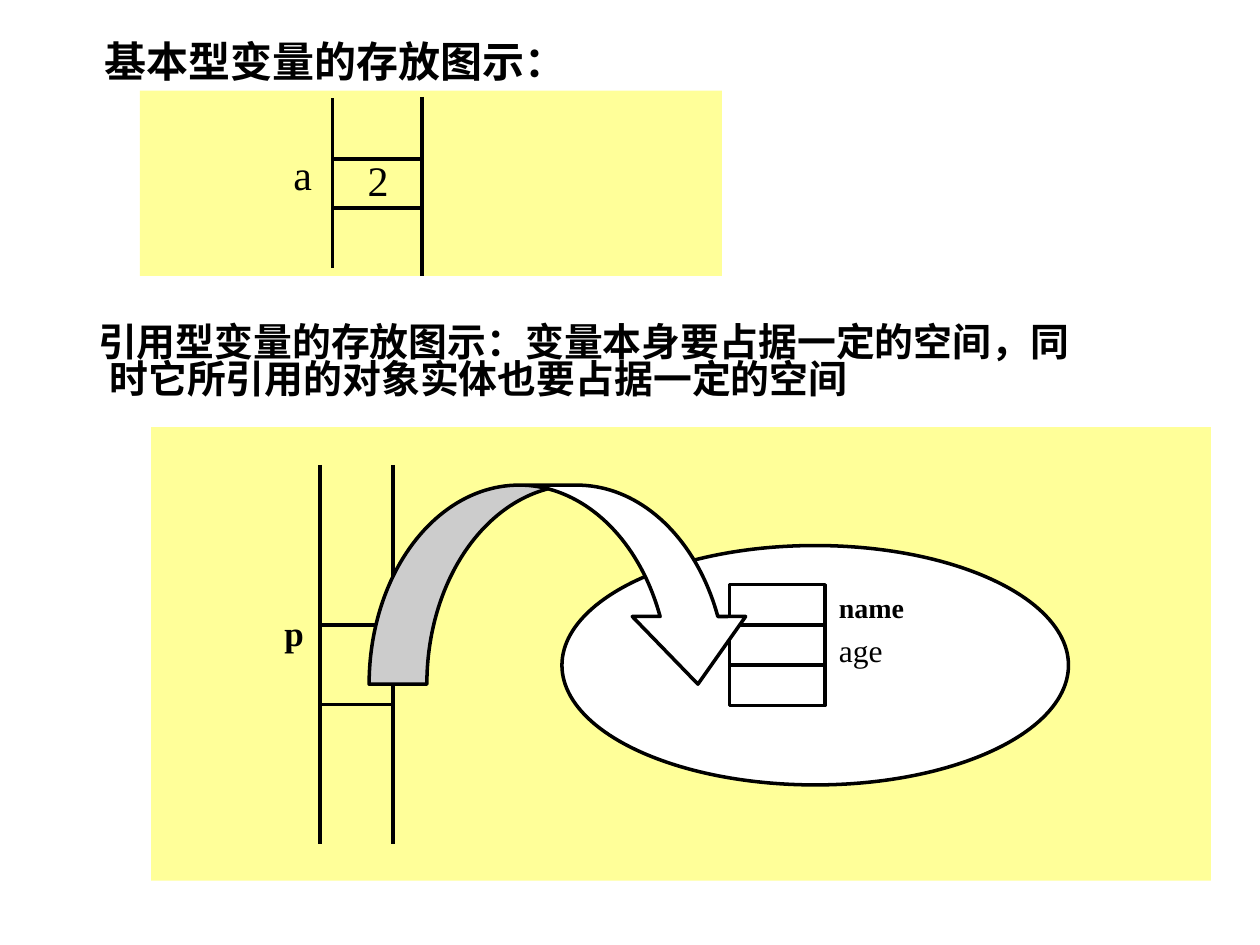
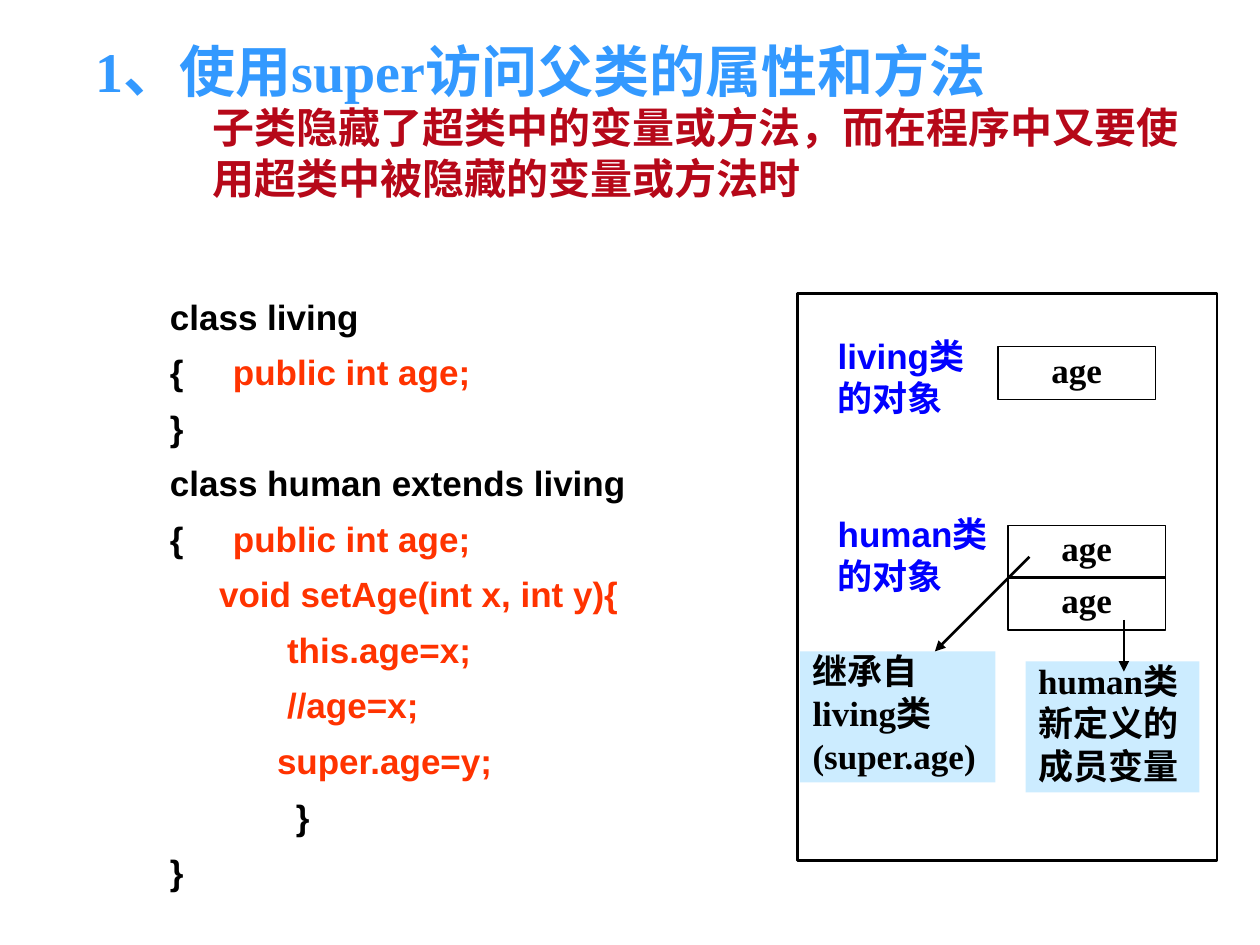
from pptx import Presentation
from pptx.dml.color import RGBColor
from pptx.enum.shapes import MSO_CONNECTOR as LINE, MSO_SHAPE as SHAPE
from pptx.enum.text import MSO_ANCHOR as ANCHOR, PP_ALIGN as ALIGN
from pptx.oxml.ns import qn
from pptx.util import Pt
from lxml.etree import SubElement

PX = 9144
BLACK, WHITE, YELLOW, PALE_BLUE = "000000", "FFFFFF", "FFFF99", "CCECFF"
SKY, CRIMSON, ORANGE, BLUE = "3399FF", "B60819", "FF3300", "0000FF"
SERIF, SANS = "Times New Roman", "Arial"


def px(*lengths):
    return [length * PX for length in lengths]


def color(value):
    return RGBColor.from_string(value)


class Painter:
    """Holds the shared style and draws elements on the current page."""

    def __init__(self):
        self.deck = Presentation()
        self.deck.slide_width, self.deck.slide_height = px(1000, 750)
        self.page = None

    def new_page(self):
        self.page = self.deck.slides.add_slide(self.deck.slide_layouts[6])

    def shape(self, kind, area, fill=None, line=None):
        shape = self.page.shapes.add_shape(kind, *px(*area))
        shape.shadow.inherit = False
        if fill:
            shape.fill.solid()
            shape.fill.fore_color.rgb = color(fill)
        else:
            shape.fill.background()
        if line:
            shape.line.color.rgb = color(BLACK)
            shape.line.width = Pt(line)
        else:
            shape.line.fill.background()
        return shape

    def line(self, x1, y1, x2, y2, width=2, arrow=False):
        line = self.page.shapes.add_connector(LINE.STRAIGHT, *px(x1, y1, x2, y2))
        line.line.color.rgb = color(BLACK)
        line.line.width = Pt(width)
        properties = line.element.spPr
        if arrow:
            SubElement(properties.find(qn("a:ln")), qn("a:tailEnd"), type="triangle")
        SubElement(properties, qn("a:effectLst"))

    def text(self, area, lines, size=20, ink=BLACK, font=SERIF, bold=True, wrap=True):
        box = self.page.shapes.add_textbox(*px(*area))
        self.fill_text(box, lines, size, ink, font, bold, wrap)
        return box

    def fill_text(self, box, lines, size=20, ink=BLACK, font=SERIF, bold=True, wrap=True,
                  spacing=None, before=None, align=ALIGN.LEFT, anchor=ANCHOR.TOP):
        frame = box.text_frame
        frame.word_wrap = wrap
        frame.vertical_anchor = anchor
        for number, content in enumerate(lines):
            para = frame.add_paragraph() if number else frame.paragraphs[0]
            para.alignment = align
            para.space_before = Pt(before or size / 4)
            if spacing:
                para.line_spacing = spacing
            para.font.size = Pt(size)
            para.font.bold = bold
            para.font.name = font
            para.font.color.rgb = color(ink)
            para.add_run().text = content

    def indent(self, para, margin, first=0):
        properties = para._p.get_or_add_pPr()
        properties.set("marL", str(margin * PX))
        properties.set("indent", str(first * PX))

    def label(self, area, lines):
        box = self.page.shapes.add_textbox(*px(*area))
        self.fill_text(box, lines, ink=BLUE, font=SANS, wrap=False, spacing=0.8)

    def note(self, area, lines, wrap):
        box = self.shape(SHAPE.RECTANGLE, area, PALE_BLUE)
        self.fill_text(box, lines, wrap=wrap, spacing=0.8)

    def field(self, left, top):
        box = self.shape(SHAPE.RECTANGLE, (left, top, 125, 42), line=0.75)
        self.fill_text(box, ["age"], wrap=False, spacing=0.8,
                       align=ALIGN.CENTER, anchor=ANCHOR.MIDDLE)

    def code(self, area, lines):
        box = self.shape(SHAPE.RECTANGLE, area, WHITE)
        self.fill_text(box, [""] * len(lines), font=SANS, spacing=0.8, before=12.5)
        for para, (margin, parts) in zip(box.text_frame.paragraphs, lines):
            self.indent(para, margin)
            properties = para._p.get_or_add_pPr()
            tabs = properties.makeelement(qn("a:tabLst"))
            SubElement(tabs, qn("a:tab"), pos=str(42 * PX), algn="l")
            properties.find(qn("a:defRPr")).addprevious(tabs)
            para.runs[0].text = parts[0][0]
            for content, _ in parts[1:]:
                para.add_run().text = content
            for span, (_, ink) in zip(para.runs, parts):
                span.font.color.rgb = color(ink)


def draw_variable_storage(painter):
    painter.new_page()
    reference = painter.text(
        (39, 254, 850, 73),
        ["引用型变量的存放图示：变量本身要占据一定的空间，同时它所引用的对象实体也要占据一定的空间"],
        22.2)
    sentence = reference.text_frame.paragraphs[0]
    sentence.line_spacing = 0.8
    sentence.space_before = Pt(6)
    painter.indent(sentence, 38, -9)

    painter.shape(SHAPE.RECTANGLE, (120, 339, 841, 360), YELLOW)
    for x in (254, 312):
        painter.line(x, 369, x, 670)
    for y in (496, 559):
        painter.line(254, y, 312, y)
    painter.shape(SHAPE.OVAL, (446, 433, 402, 190), WHITE, 2)
    painter.text((216, 480, 57, 79), ["p"])
    for row in range(3):
        painter.shape(SHAPE.RECTANGLE, (579, 464 + 32 * row, 76, 32), WHITE, 2)
    painter.text((656, 464, 115, 47), ["name"], 16)
    painter.text((656, 496, 115, 47), ["age"], 18, bold=False)
    pointer = painter.shape(SHAPE.CURVED_DOWN_ARROW, (293, 385, 306, 158), WHITE, 2)
    for index, ratio in enumerate((0.29, 0.57, 0.34)):
        pointer.adjustments[index] = ratio

    painter.text((73, 23, 482, 50), ["基本型变量的存放图示："], 24)
    painter.shape(SHAPE.RECTANGLE, (111, 72, 462, 147), YELLOW)
    painter.line(264, 78, 264, 213)
    painter.line(335, 77, 335, 219)
    for y in (126, 165):
        painter.line(264, y, 334, y)
    painter.text((282, 118, 36, 50), ["2"], 24, bold=False, wrap=False)
    painter.text((223, 113, 35, 50), ["a"], 24, bold=False, wrap=False)


def draw_super_access(painter):
    painter.new_page()
    age_member = (0, [("{\t", BLACK), ("public int age;", ORANGE)])
    painter.code((125, 236, 478, 478), [
        (0, [("class living", BLACK)]),
        age_member,
        (0, [("}", BLACK)]),
        (0, [("class human extends living", BLACK)]),
        age_member,
        (39, [("void setAge(int x, int y){", ORANGE)]),
        (93, [("this.age=x;", ORANGE)]),
        (93, [("//age=x;", ORANGE)]),
        (85, [("super.age=y;", ORANGE)]),
        (100, [("}", BLACK)]),
        (0, [("}", BLACK)]),
    ])
    for left, top in ((792, 275), (800, 417), (800, 458)):
        painter.field(left, top)
    painter.label((655, 267, 127, 71), ["living类", "的对象"])
    painter.label((655, 408, 145, 71), ["human类", "的对象"])
    painter.note((635, 517, 155, 104), ["继承自", "living类", "(super.age)"], True)
    painter.line(817, 442, 742, 517, 1.5, arrow=True)
    painter.shape(SHAPE.RECTANGLE, (633, 233, 333, 450), line=1.5)
    painter.note((814, 525, 138, 104), ["human类", "新定义的", "成员变量"], False)
    painter.line(892, 492, 892, 533, 1.5, arrow=True)
    painter.text((66, 24, 759, 64), ["1、使用super访问父类的属性和方法"], 32, SKY, wrap=False)
    painter.text((159, 76, 791, 90),
                 ["子类隐藏了超类中的变量或方法，而在程序中又要使用超类中被隐藏的变量或方法时"],
                 24, CRIMSON)


def main():
    painter = Painter()
    draw_variable_storage(painter)
    draw_super_access(painter)
    painter.deck.save("out.pptx")


if __name__ == "__main__":
    main()
